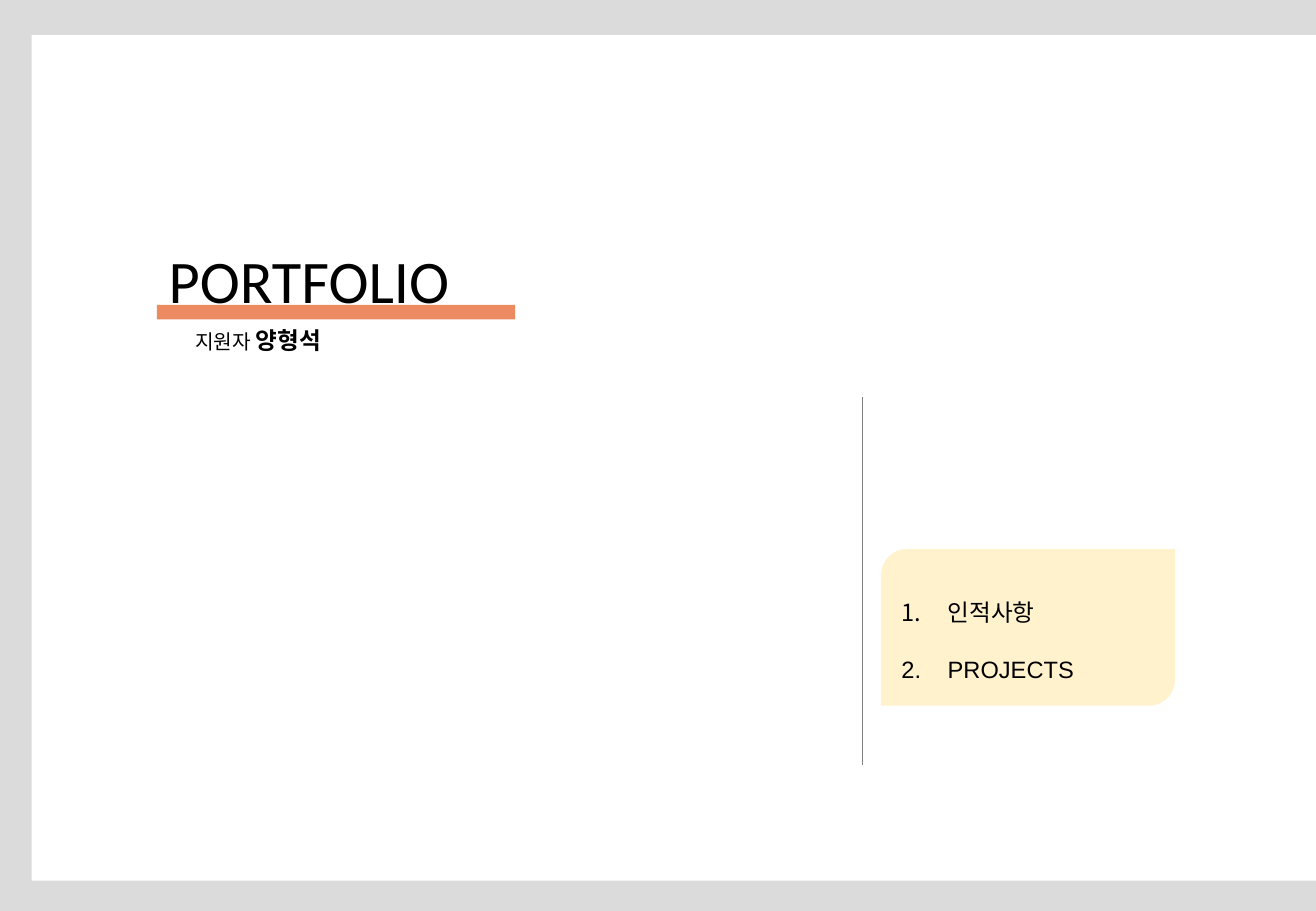
"""Build the portfolio cover slide with its table of contents."""
from lxml.etree import SubElement
from pptx import Presentation
from pptx.dml.color import RGBColor
from pptx.enum.shapes import MSO_CONNECTOR, MSO_SHAPE
from pptx.enum.text import MSO_AUTO_SIZE
from pptx.oxml.ns import qn
from pptx.util import Pt

PX = 9144
COLORS = {
    "backdrop": "DBDBDB",
    "sheet": "FFFFFF",
    "contents": "FFF2CC",
    "accent": "EC8A62",
    "divider": "808080",
    "text": "000000",
}


def color(name):
    return RGBColor.from_string(COLORS[name])


def add_text(page, area, paragraphs, font="Arial", wrap=False, spacing=None, hanging=0):
    box = page.shapes.add_textbox(*(value * PX for value in area))
    frame = box.text_frame
    frame.word_wrap = wrap
    frame.auto_size = MSO_AUTO_SIZE.SHAPE_TO_FIT_TEXT
    for index, spans in enumerate(paragraphs):
        para = frame.add_paragraph() if index else frame.paragraphs[0]
        if spacing:
            para.line_spacing = spacing
        if hanging:
            properties = para._p.get_or_add_pPr()
            properties.set("marL", str(hanging * PX))
            properties.set("indent", str(-hanging * PX))
            SubElement(properties, qn("a:buFont"), typeface="+mj-lt")
            SubElement(properties, qn("a:buAutoNum"), type="arabicPeriod")
        for text, size, bold in spans:
            span = para.add_run()
            span.text = text
            span.font.name = font
            span.font.size = Pt(size)
            span.font.bold = bold
            span.font.color.rgb = color("text")


deck = Presentation()
deck.slide_width = 1083 * PX
deck.slide_height = 750 * PX
page = deck.slides.add_slide(deck.slide_layouts[6])
page.background.fill.solid()
page.background.fill.fore_color.rgb = color("backdrop")

panels = [
    (MSO_SHAPE.RECTANGLE, (26, 29, 1057, 696), "sheet"),
    (MSO_SHAPE.ROUND_2_DIAG_RECTANGLE, (725, 452, 242, 129), "contents"),
    (MSO_SHAPE.RECTANGLE, (129, 251, 295, 12), "accent"),
]
for kind, area, name in panels:
    panel = page.shapes.add_shape(kind, *(value * PX for value in area))
    panel.shadow.inherit = False
    panel.fill.solid()
    panel.fill.fore_color.rgb = color(name)
    panel.line.fill.background()

add_text(page, (129, 195, 299, 70), [[("PORTFOLIO", 35.8, False)]], font="Calibri")
add_text(page, (151, 263, 136, 34), [[("지원자 ", 12, False), ("양형석", 14, True)]])

divider = page.shapes.add_connector(
    MSO_CONNECTOR.STRAIGHT, 710 * PX, 327 * PX, 710 * PX, 630 * PX
)
divider.line.color.rgb = color("divider")
divider.line.width = Pt(0.5)
SubElement(divider._element.spPr, qn("a:effectLst"))

add_text(
    page,
    (732, 464, 228, 104),
    [[("인적사항", 14, False)], [("PROJECTS", 14, False)]],
    wrap=True,
    spacing=2.0,
    hanging=38,
)

deck.save("out.pptx")
